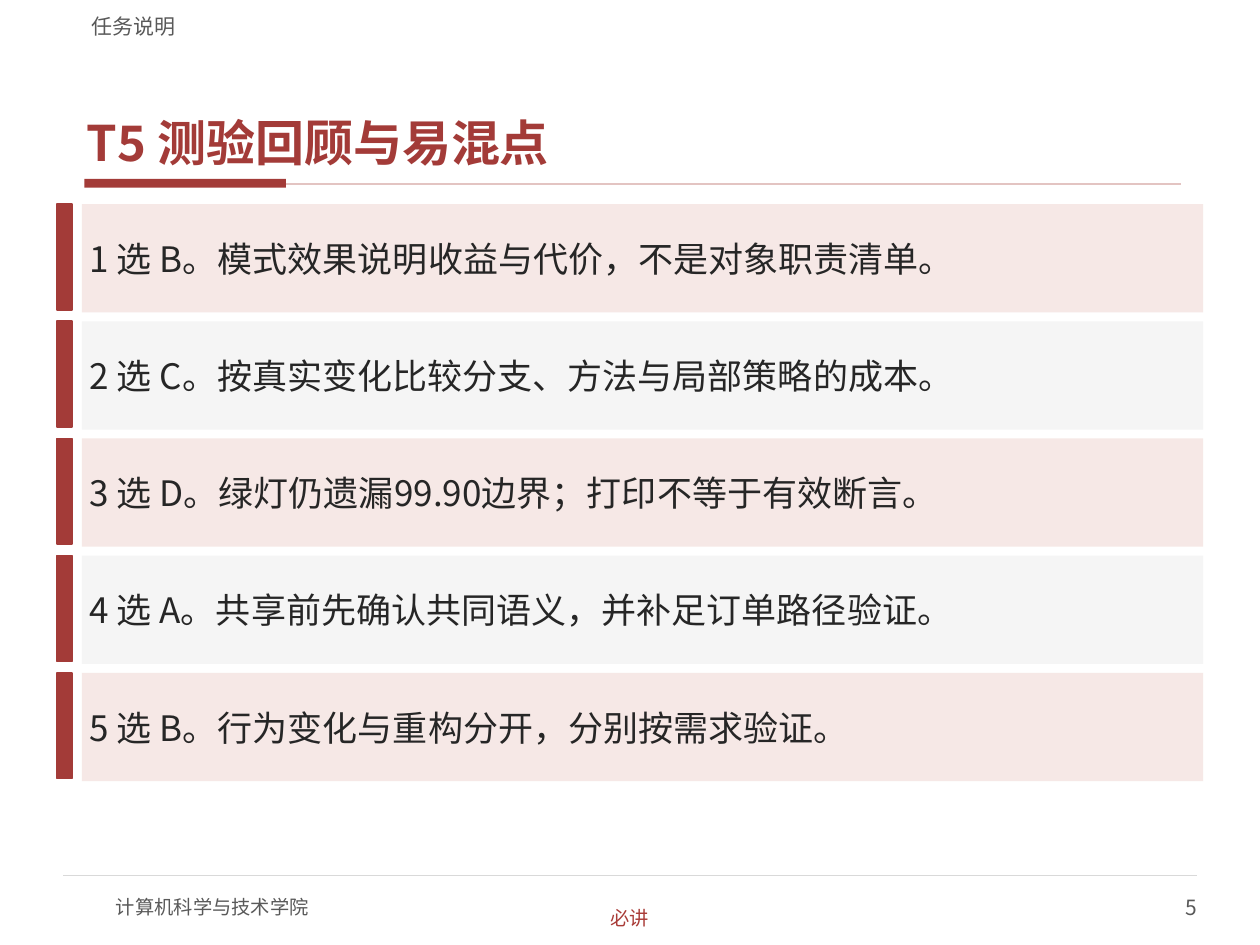
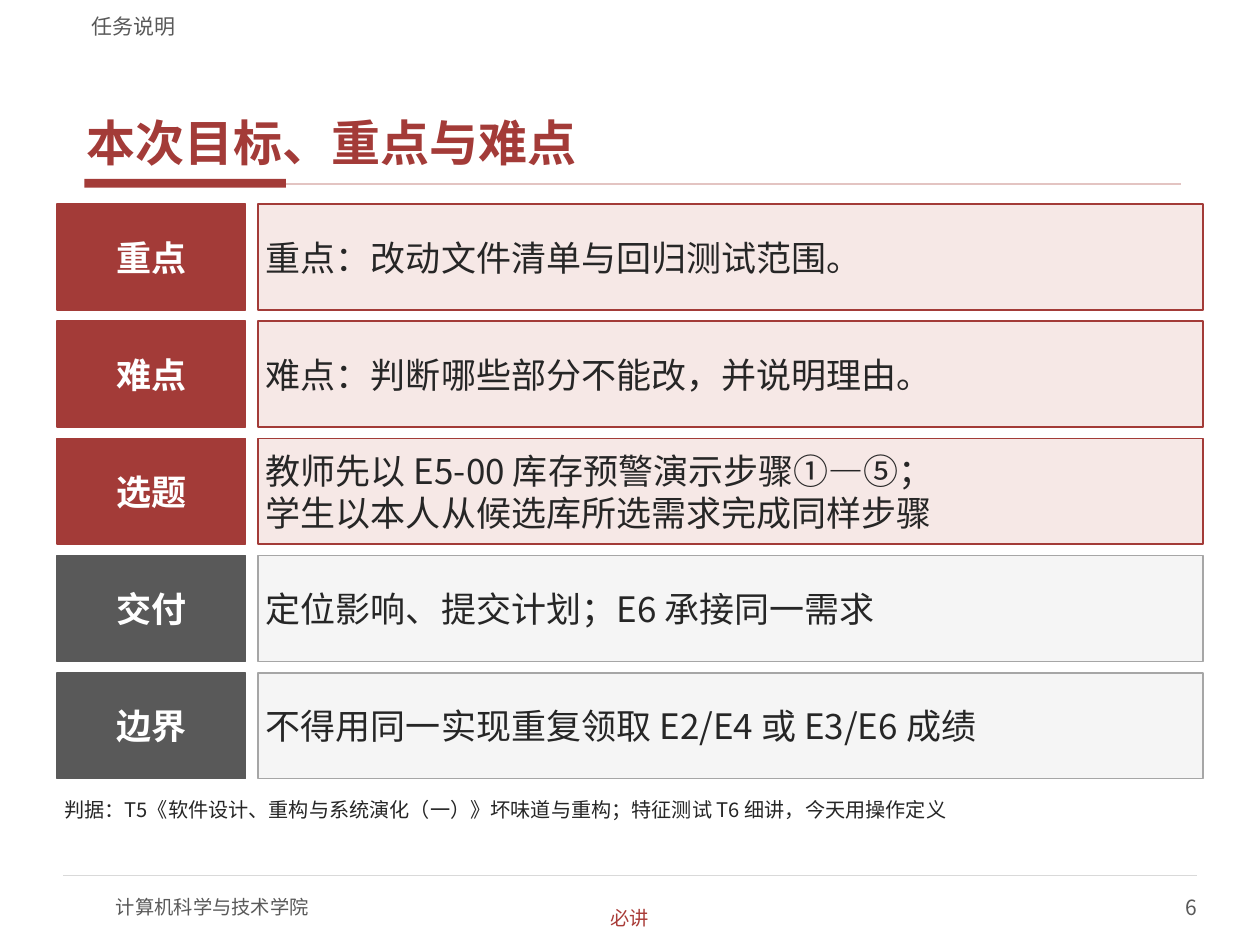
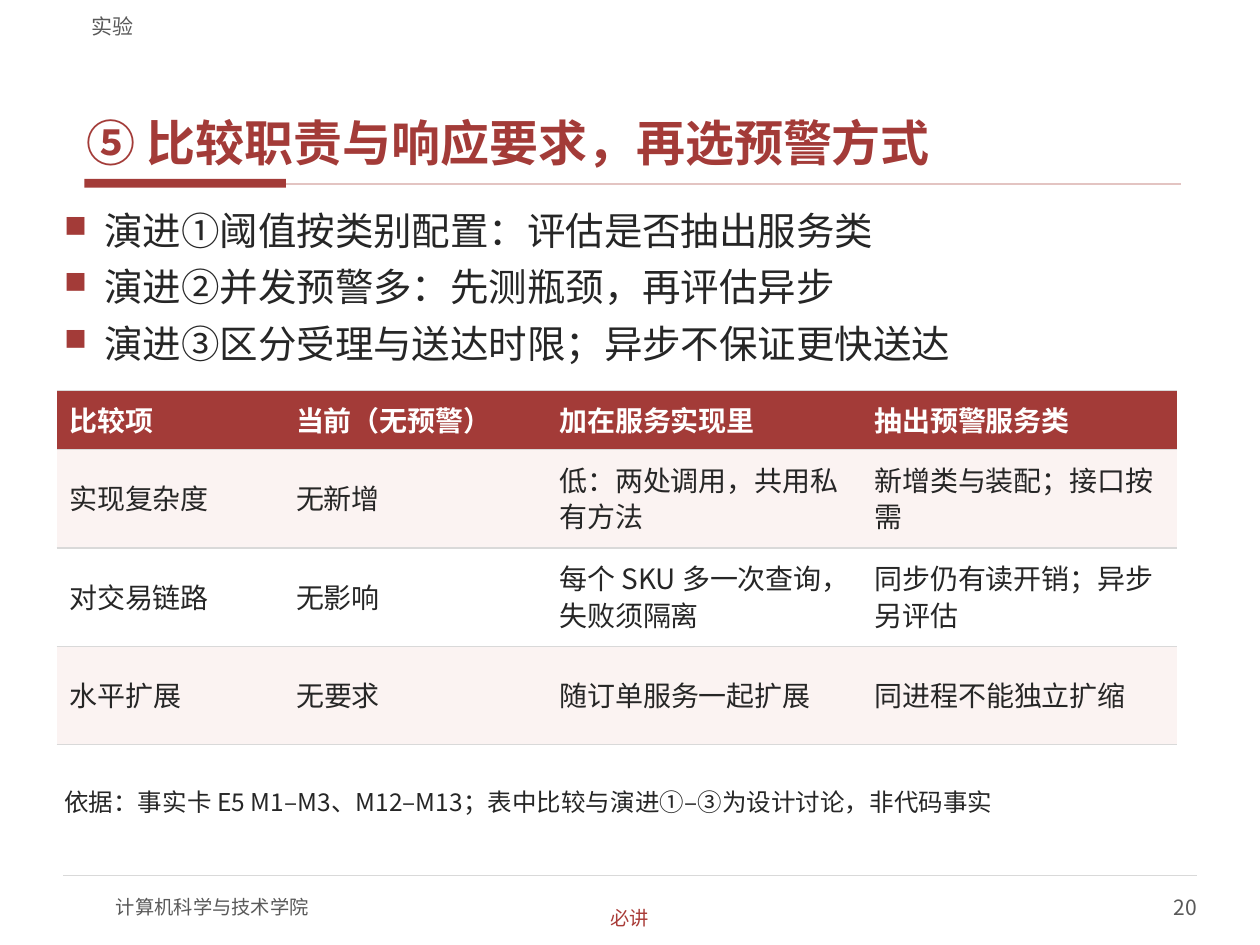
from dataclasses import dataclass
from lxml.etree import SubElement
from pptx import Presentation
from pptx.dml.color import RGBColor
from pptx.enum.shapes import MSO_CONNECTOR, MSO_SHAPE
from pptx.enum.text import MSO_ANCHOR, PP_ALIGN
from pptx.oxml.ns import qn
from pptx.util import Inches, Pt


@dataclass(frozen=True)
class Theme:
    """Colours, type sizes and grid lines that all slides share."""
    font: str = "Noto Sans CJK SC"
    red: str = "A33B38"
    mark: str = "A93B37"
    rule: str = "E3C4C2"
    rose: str = "F6E8E6"
    blush: str = "FBF3F2"
    ink: str = "262626"
    gray: str = "595959"
    edge: str = "A6A6A6"
    hair: str = "D9D9D9"
    pale: str = "F5F5F5"
    white: str = "FFFFFF"
    title: float = 28
    list: float = 22
    body: float = 20
    cell: float = 16
    note: float = 14
    head: float = 12
    small: float = 11.5
    foot: float = 11
    wide: float = 10
    high: float = 7.5
    left: float = 0.45
    right: float = 9.55
    top: float = 1.62
    step: float = 0.93
    bar: float = 0.84


T = Theme()
TIGHT = (0.06, 0.03)
SLIM = (0.06, 0.02)


def color(code):
    """Turn a hex code into a colour."""
    return RGBColor.from_string(code)


def bullet(para):
    """Give a paragraph a hanging red square."""
    props = para._p.get_or_add_pPr()
    props.set("marL", str(Inches(0.32)))
    props.set("indent", str(-Inches(0.32)))
    tint = SubElement(props, qn("a:buClr"))
    SubElement(tint, qn("a:srgbClr"), val=T.red)
    SubElement(props, qn("a:buSzPct"), val="80000")
    SubElement(props, qn("a:buChar"), char="■")


def write(frame, text, size=T.body, ink=T.ink, bold=False, align=PP_ALIGN.LEFT,
          anchor=MSO_ANCHOR.MIDDLE, inset=(0, 0), wrap=True, before=0, after=0,
          line=None, dots=False):
    """Fill a text frame, one paragraph for each line of text."""
    frame.word_wrap = wrap
    frame.vertical_anchor = anchor
    frame.margin_left = frame.margin_right = Inches(inset[0])
    frame.margin_top = frame.margin_bottom = Inches(inset[1])
    for num, part in enumerate(text.split("\n")):
        para = frame.add_paragraph() if num else frame.paragraphs[0]
        if dots:
            bullet(para)
        para.alignment = align
        para.space_before = Pt(before if num else 0)
        para.space_after = Pt(after)
        if line:
            para.line_spacing = line
        run = para.add_run()
        run.text = part
        font = run.font
        font.size, font.bold, font.name = Pt(size), bold, T.font
        font.color.rgb = color(ink)
        SubElement(run._r.get_or_add_rPr(), qn("a:ea"), typeface=T.font)


def label(slide, area, text, **form):
    """Add a text box."""
    box = slide.shapes.add_textbox(*map(Inches, area))
    write(box.text_frame, text, **form)


def block(slide, area, fill, edge=None, text=None, **form):
    """Add a filled box, with an outline and text on request."""
    box = slide.shapes.add_shape(MSO_SHAPE.RECTANGLE, *map(Inches, area))
    box.shadow.inherit = False
    box.fill.solid()
    box.fill.fore_color.rgb = color(fill)
    if edge:
        box.line.color.rgb = color(edge)
        box.line.width = Pt(1)
    else:
        box.line.fill.background()
    if text:
        write(box.text_frame, text, **form)


def rule(slide, start, end, level, ink, width):
    """Draw a level line."""
    line = slide.shapes.add_connector(
        MSO_CONNECTOR.STRAIGHT, *map(Inches, (start, level, end, level)))
    line.line.color.rgb = color(ink)
    line.line.width = Pt(width)
    SubElement(line._element.spPr, qn("a:effectLst"))


def page(deck, part, title, num):
    """Add a slide with its header, title and footer."""
    slide = deck.slides.add_slide(deck.slide_layouts[6])
    block(slide, (0.67, 1.42, 1.6, 0.07), T.red)
    rule(slide, 2.27, 9.37, 1.46, T.rule, 1)
    rule(slide, 0.5, 9.5, 6.95, T.hair, 0.75)
    label(slide, (0.92, 7, 4, 0.4), "计算机科学与技术学院",
          size=T.foot, ink=T.gray)
    label(slide, (7.5, 7, 2, 0.4), str(num), size=T.head, ink=T.gray,
          align=PP_ALIGN.RIGHT)
    label(slide, (0.63, 0.33, 8.75, 1.05), title, size=T.title, ink=T.red,
          bold=True, anchor=MSO_ANCHOR.BOTTOM, inset=SLIM, after=2)
    label(slide, (0.63, 0.04, 8.75, 0.27), part, size=T.head, ink=T.gray,
          anchor=MSO_ANCHOR.BOTTOM, inset=(0.1, 0))
    label(slide, (4.4, 7.18, 1.2, 0.21), "必讲", size=T.foot, ink=T.mark,
          align=PP_ALIGN.CENTER, wrap=False)
    return slide


def answers(slide, items):
    """Stack striped answers, each behind a red tab."""
    for num, text in enumerate(items):
        top = T.top + num * T.step
        block(slide, (T.left, top, 0.12, T.bar), T.red, T.red)
        block(slide, (0.65, top, T.right - 0.65, 0.86),
              T.pale if num % 2 else T.rose, text=text, inset=TIGHT)


def goals(slide, items, strong):
    """Stack tagged rows, the first ones in red and the rest in gray."""
    for num, (tag, text) in enumerate(items):
        top = T.top + num * T.step
        dark, fill, edge = ((T.red, T.rose, T.red) if num < strong
                            else (T.gray, T.pale, T.edge))
        block(slide, (T.left, top, 1.5, T.bar), dark, dark, tag, ink=T.white,
              bold=True, align=PP_ALIGN.CENTER, inset=(0.08, 0.04))
        block(slide, (2.05, top, T.right - 2.05, T.bar), fill, edge, text,
              inset=TIGHT)


def border(cell):
    """Leave a cell only thin lines above and below."""
    props = cell._tc.get_or_add_tcPr()
    for side in ("L", "R", "T", "B"):
        line = SubElement(props, qn("a:ln" + side), w=str(Pt(0.75)))
        if side in "LR":
            SubElement(line, qn("a:noFill"))
        else:
            fill = SubElement(line, qn("a:solidFill"))
            SubElement(fill, qn("a:srgbClr"), val=T.hair)


def grid(slide, left, top, cols, rows, data):
    """Add a table with a red head and striped rows."""
    area = map(Inches, (left, top, sum(cols), sum(rows)))
    table = slide.shapes.add_table(len(rows), len(cols), *area).table
    table.first_row = table.horz_banding = False
    for col, width in zip(table.columns, cols):
        col.width = Inches(width)
    for num, (row, high) in enumerate(zip(table.rows, rows)):
        row.height = Inches(high)
        fill = (T.blush if num % 2 else T.white) if num else T.red
        for cell, text in zip(row.cells, data[num]):
            border(cell)
            cell.fill.solid()
            cell.fill.fore_color.rgb = color(fill)
            write(cell.text_frame, text, size=T.cell, bold=not num,
                  ink=T.ink if num else T.white, inset=(0.1, 0.05),
                  after=2, line=0.9)
            cell.vertical_anchor = MSO_ANCHOR.MIDDLE


def main():
    """Build the three slides and save them."""
    deck = Presentation()
    deck.slide_width, deck.slide_height = Inches(T.wide), Inches(T.high)
    span = T.right - T.left

    slide = page(deck, "任务说明", "T5 测验回顾与易混点", 5)
    answers(slide, [
        "1 选 B。模式效果说明收益与代价，不是对象职责清单。",
        "2 选 C。按真实变化比较分支、方法与局部策略的成本。",
        "3 选 D。绿灯仍遗漏99.90边界；打印不等于有效断言。",
        "4 选 A。共享前先确认共同语义，并补足订单路径验证。",
        "5 选 B。行为变化与重构分开，分别按需求验证。",
    ])

    slide = page(deck, "任务说明", "本次目标、重点与难点", 6)
    goals(slide, [
        ("重点", "重点：改动文件清单与回归测试范围。"),
        ("难点", "难点：判断哪些部分不能改，并说明理由。"),
        ("选题", "教师先以 E5-00 库存预警演示步骤①—⑤；\n"
                 "学生以本人从候选库所选需求完成同样步骤"),
        ("交付", "定位影响、提交计划；E6 承接同一需求"),
        ("边界", "不得用同一实现重复领取 E2/E4 或 E3/E6 成绩"),
    ], strong=3)
    label(slide, (T.left, 6.3, span, 0.3),
          "判据：T5《软件设计、重构与系统演化（一）》坏味道与重构；"
          "特征测试 T6 细讲，今天用操作定义",
          size=T.small, anchor=MSO_ANCHOR.TOP, inset=TIGHT)

    slide = page(deck, "实验", "⑤ 比较职责与响应要求，再选预警方式", 20)
    label(slide, (T.left, T.top, span, 1.37),
          "演进①阈值按类别配置：评估是否抽出服务类\n"
          "演进②并发预警多：先测瓶颈，再评估异步\n"
          "演进③区分受理与送达时限；异步不保证更快送达",
          size=T.list, anchor=MSO_ANCHOR.TOP, inset=SLIM, before=4, after=2,
          dots=True)
    grid(slide, T.left, 3.1, [1.8, 2.09, 2.5, 2.5], [0.47] + [0.78] * 3, [
        ("比较项", "当前（无预警）", "加在服务实现里", "抽出预警服务类"),
        ("实现复杂度", "无新增", "低：两处调用，共用私有方法",
         "新增类与装配；接口按需"),
        ("对交易链路", "无影响", "每个 SKU 多一次查询，失败须隔离",
         "同步仍有读开销；异步另评估"),
        ("水平扩展", "无要求", "随订单服务一起扩展", "同进程不能独立扩缩"),
    ])
    label(slide, (T.left, 6.23, span, 0.5),
          "依据：事实卡 E5 M1–M3、M12–M13；表中比较与演进①–③为设计讨论，非代码事实",
          size=T.note, anchor=MSO_ANCHOR.TOP, inset=SLIM, after=2)
    deck.save("out.pptx")


if __name__ == "__main__":
    main()
